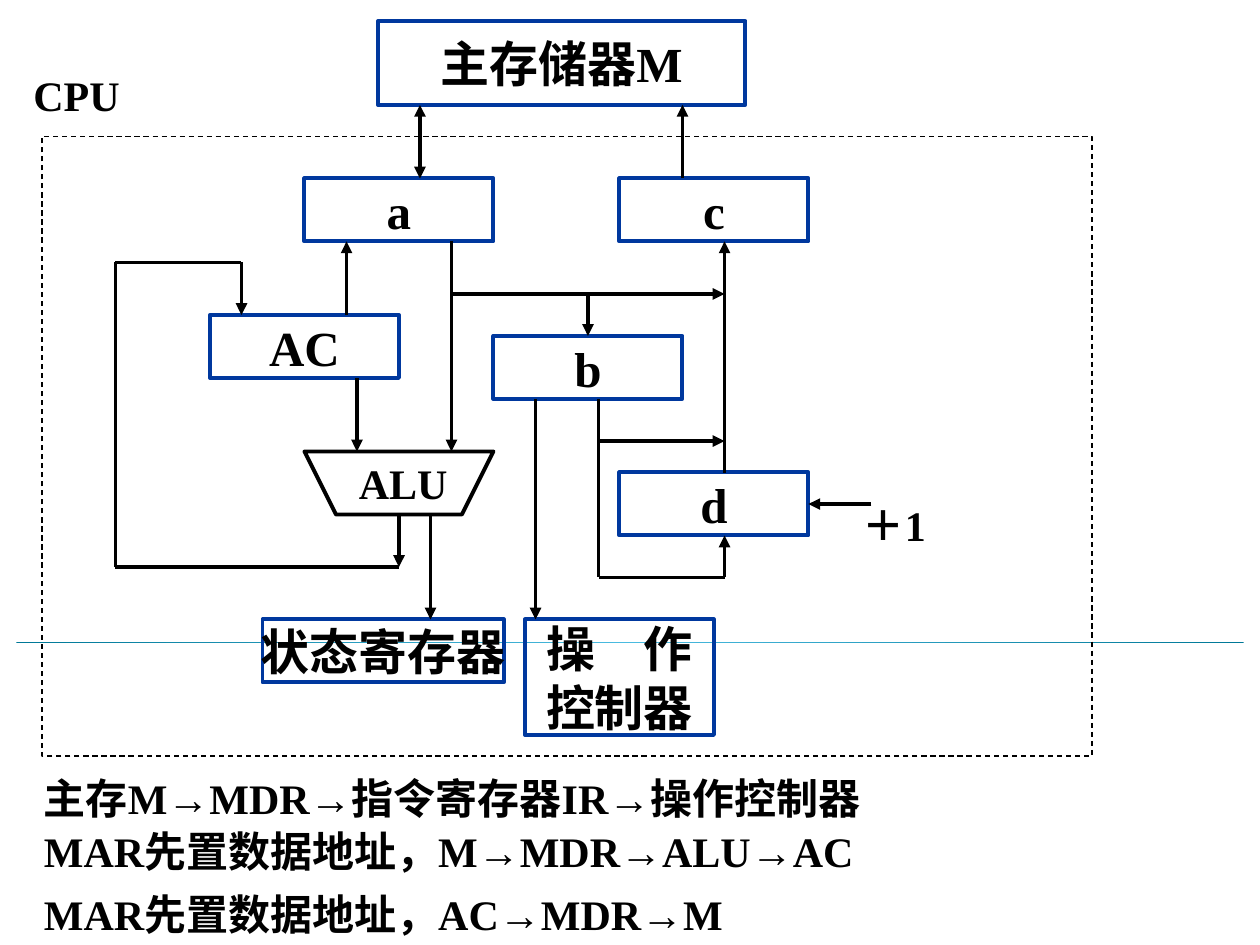
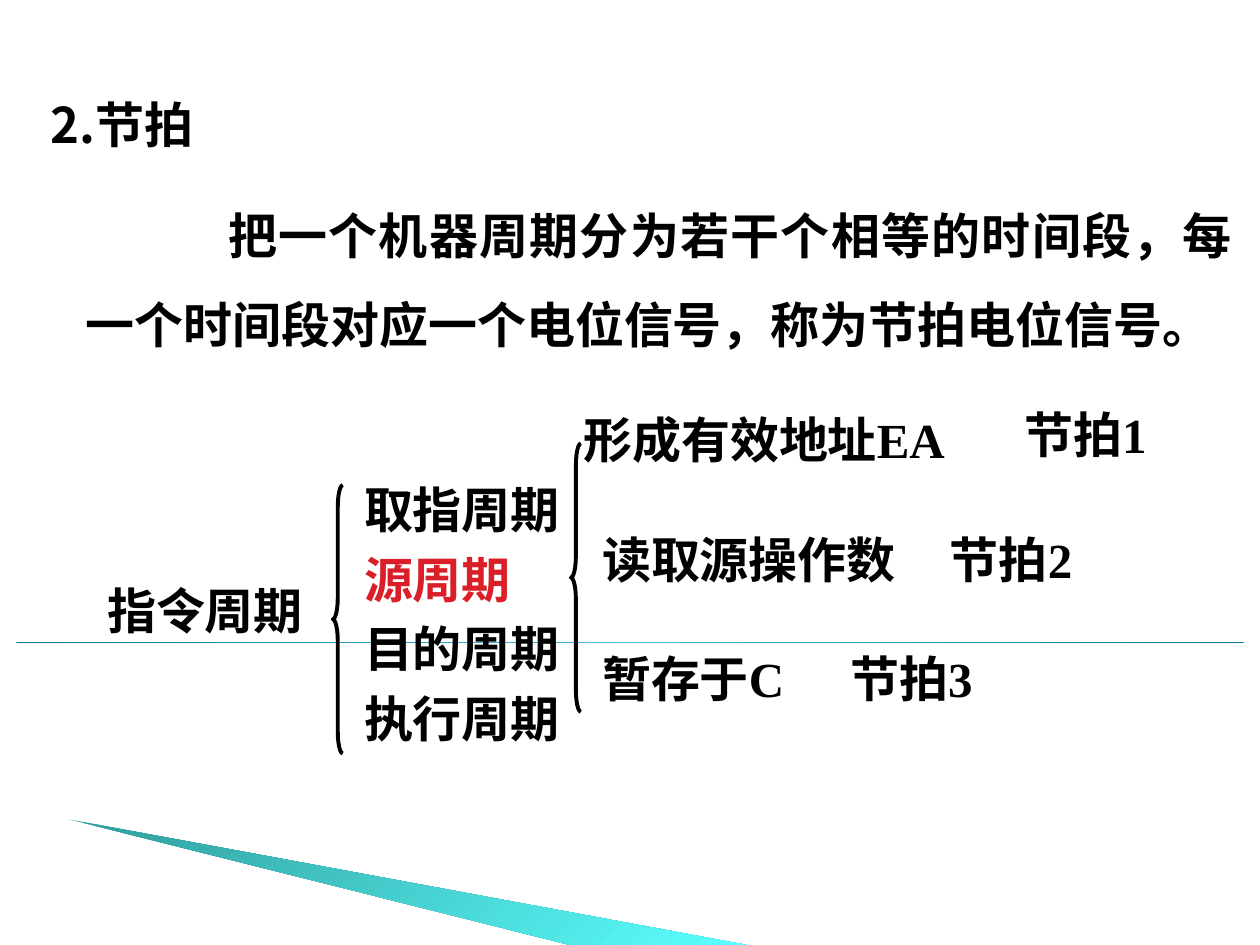
"""Build two slides on CPU data paths and on the beats of a machine cycle."""
import copy

from lxml import etree
from pptx import Presentation
from pptx import util as u
from pptx.dml.color import RGBColor
from pptx.enum import dml, shapes, text
from pptx.oxml.ns import qn

COLORS = {
    "ink": "000000", "paper": "FFFFFF", "frame": "00389E", "accent": "DA1F28",
    "rule_edge": "007897", "rule_middle": "4ABBE0",
    "wedge_dark": "319C9C", "wedge_light": "5BFFFF",
}
COLORS = {name: RGBColor.from_string(value) for name, value in COLORS.items()}
LATIN, CHINESE = "Times New Roman", "Noto Sans CJK SC"
GRID = 2.54 / 12


def write(box, words, size=28, color="ink", font=LATIN, align=text.PP_ALIGN.LEFT):
    """Put bold text into a shape and format every run."""
    box.text_frame.text = words
    for para in box.text_frame.paragraphs:
        para.alignment = align
        para.space_before = u.Pt(0)
        for span in para.runs:
            span.font.size, span.font.bold = u.Pt(size), True
            span.font.color.rgb = COLORS[color]
            span.font.name = font
            east = etree.SubElement(span.font._element, qn("a:ea"))
            east.set("typeface", CHINESE)


def add_label(page, words, left, top, width, height=1.27, **style):
    """Add a wrapping text box, measured in centimetres."""
    box = page.shapes.add_textbox(u.Cm(left), u.Cm(top), u.Cm(width), u.Cm(height))
    box.text_frame.word_wrap = True
    write(box, words, **style)
    return box


deck = Presentation()
deck.slide_width, deck.slide_height = u.Cm(25.4), u.Cm(19.05)
datapath = deck.slides.add_slide(deck.slide_layouts[6])
beats = deck.slides.add_slide(deck.slide_layouts[5])

for page in (datapath, beats):
    rule = page.shapes.add_shape(
        shapes.MSO_SHAPE.RECTANGLE, u.Cm(0.33), u.Cm(12.94), u.Cm(24.74), u.Cm(0.02))
    outline = page.shapes.build_freeform(u.Cm(1.4), u.Cm(16.52), scale=1.0)
    outline.add_line_segments([(u.Cm(15.05), u.Cm(19.05)), (u.Cm(11.5), u.Cm(19.05))])
    wedge = outline.convert_to_shape()
    for shape, start, end, angle in ((rule, "rule_edge", "rule_edge", 0),
                                     (wedge, "wedge_dark", "wedge_light", 315)):
        shape.shadow.inherit = False
        shape.line.fill.background()
        shape.fill.gradient()
        shape.fill.gradient_angle = angle
        for stop, name in zip(shape.fill.gradient_stops, (start, end)):
            stop.color.rgb = COLORS[name]
    first_stop = rule._element.spPr.find(".//" + qn("a:gs"))
    first_stop.addnext(copy.deepcopy(first_stop))
    middle = rule.fill.gradient_stops[1]
    middle.position = 0.5
    middle.color.rgb = COLORS["rule_middle"]

registers = [
    ("主存储器M", 36, 2, 35, 8), ("a", 29, 17, 18, 6), ("c", 59, 17, 18, 6),
    ("AC", 20, 30, 18, 6), ("b", 47, 32, 18, 6), ("d", 59, 45, 18, 6),
    ("状态寄存器", 25, 59, 23, 6), ("操　作\n控制器", 50, 59, 18, 11),
    ("", 4, 13, 100, 59),
]
for words, *place in registers:
    box = datapath.shapes.add_shape(
        shapes.MSO_SHAPE.RECTANGLE, *[u.Cm(n * GRID) for n in place])
    box.shadow.inherit = False
    box.fill.background()
    if words:
        box.line.color.rgb, box.line.width = COLORS["frame"], u.Pt(2.25)
        box.text_frame.word_wrap = False
        box.text_frame.vertical_anchor = text.MSO_ANCHOR.MIDDLE
        write(box, words, align=text.PP_ALIGN.CENTER)
    else:
        box.line.color.rgb, box.line.width = COLORS["ink"], u.Pt(0.75)
        box.line.dash_style = dml.MSO_LINE.DASH

outline = datapath.shapes.build_freeform(29, 43, scale=u.Cm(GRID))
outline.add_line_segments([(47, 43), (44, 49), (32, 49)])
alu = outline.convert_to_shape()
alu.shadow.inherit = False
alu.fill.background()
alu.line.color.rgb, alu.line.width = COLORS["ink"], u.Pt(2.25)

plain = [(11, 25, 23, 25), (11, 25, 11, 54), (11, 54, 38, 54),
         (57, 38, 57, 55), (57, 55, 69, 55)]
one_way = [
    (65, 17, 65, 10), (33, 30, 33, 23), (34, 36, 34, 43), (23, 25, 23, 30),
    (38, 49, 38, 54), (41, 49, 41, 59), (43, 23, 43, 43), (43, 28, 69, 28),
    (56, 28, 56, 32), (69, 45, 69, 23), (51, 38, 51, 59), (69, 55, 69, 51),
    (57, 42, 69, 42), (83, 48, 77, 48),
]
two_way = [(40, 10, 40, 17)]
for routes, ends in ((plain, ()), (one_way, ("tailEnd",)),
                     (two_way, ("headEnd", "tailEnd"))):
    for route in routes:
        wire = datapath.shapes.add_connector(
            shapes.MSO_CONNECTOR.STRAIGHT, *[u.Cm(n * GRID) for n in route])
        wire.line.color.rgb, wire.line.width = COLORS["ink"], u.Pt(2.25)
        for end in ends:
            etree.SubElement(wire.line._ln, qn("a:" + end)).set("type", "triangle")
        etree.SubElement(wire._element.spPr, qn("a:effectLst"))

for words, left, top, width in (("ALU", 33, 43, 13), ("＋1", 81, 47, 11),
                                ("CPU", 2, 6, 15)):
    add_label(datapath, words, left * GRID, top * GRID, width * GRID, size=24)
for words, top, width in (("主存M→MDR→指令寄存器IR→操作控制器", 73, 103),
                          ("MAR先置数据地址，M→MDR→ALU→AC", 78, 87),
                          ("MAR先置数据地址，AC→MDR→M", 84, 87)):
    flow = add_label(datapath, words, 3 * GRID, top * GRID, width * GRID, size=24)
    flow.fill.solid()
    flow.fill.fore_color.rgb = COLORS["paper"]

title = beats.shapes.title
title.left, title.top, title.width, title.height = (
    u.Cm(n) for n in (1.02, 1.91, 23, 1.5))
write(title, "2.节拍", font=CHINESE)
title.text_frame.vertical_anchor = text.MSO_ANCHOR.TOP
definition = add_label(
    beats, "把一个机器周期分为若干个相等的时间段，每一个时间段对应一个电位信号，称为节拍电位信号。",
    1.73, 3.53, 23.11, 3.6, font=CHINESE, align=text.PP_ALIGN.JUSTIFY)
for box in (title, definition):
    frame = box.text_frame
    frame.margin_left = frame.margin_right = frame.margin_top = frame.margin_bottom = 0
para = definition.text_frame.paragraphs[0]
para.line_spacing = u.Pt(51)
para._p.get_or_add_pPr().set("indent", str(u.Cm(2.87)))

add_label(beats, "指令周期", 1.91, 11.58, 4.6)
for row, words in enumerate(("取指周期", "源周期", "目的周期", "执行周期")):
    add_label(beats, words, 7.09, 9.55 + row * 1.4, 4.6,
              color="accent" if words == "源周期" else "ink")
for words, left, top, width in (
        ("形成有效地址EA", 11.51, 8.13, 8.8), ("节拍1", 20.4, 8.03, 4.7),
        ("读取源操作数", 11.89, 10.54, 8.8), ("节拍2", 18.9, 10.54, 6.2),
        ("暂存于C", 11.89, 12.95, 8.8), ("节拍3", 16.89, 12.95, 6.2)):
    add_label(beats, words, left, top, width)
for left, top in ((6.71, 9.78), (11.51, 8.94)):
    brace = beats.shapes.add_shape(
        shapes.MSO_SHAPE.LEFT_BRACE, u.Cm(left), u.Cm(top), u.Cm(0.2), u.Cm(5.41))
    brace.adjustments[0] = 2.2
    brace.shadow.inherit = False
    brace.fill.background()
    brace.line.color.rgb, brace.line.width = COLORS["ink"], u.Pt(2.25)

for page in (datapath, beats):
    for holder in list(page.placeholders):
        if not holder.text_frame.text:
            holder._element.getparent().remove(holder._element)

deck.save("out.pptx")
